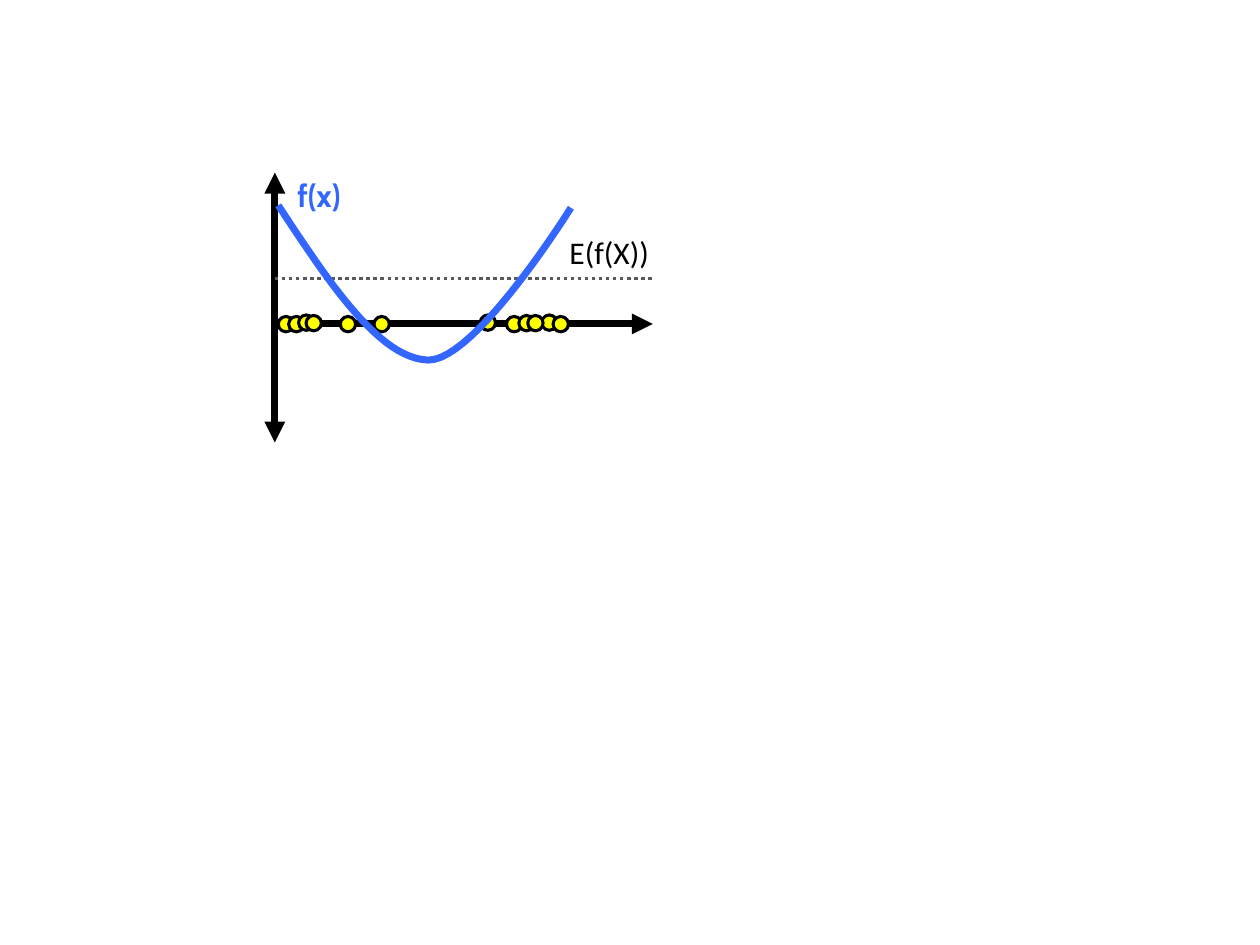
from lxml.etree import SubElement
from pptx import Presentation
from pptx.dml.color import RGBColor
from pptx.enum.dml import MSO_LINE_DASH_STYLE as Dash
from pptx.enum.shapes import MSO_CONNECTOR, MSO_SHAPE
from pptx.enum.text import MSO_AUTO_SIZE
from pptx.oxml.ns import qn
from pptx.util import Cm, Pt

# Content, lengths in cm
LEFT, RIGHT, AXIS, MEAN = 5.54, 13.16, 6.53, 5.61
BLACK, BLUE, YELLOW, GRAY = "000000", "3366FF", "FFFF00", "595959"

# start, end, colour, width, dash, arrowheads
LINES = [
    ((LEFT, AXIS), (RIGHT, AXIS), BLACK, 4, None, ["tailEnd"]),
    ((LEFT, 8.92), (LEFT, 3.48), BLACK, 4, None, ["headEnd", "tailEnd"]),
]
MEAN_LINE = ((LEFT, MEAN), (RIGHT, MEAN), GRAY, 2, Dash.ROUND_DOT, [])

SIZE = 0.31
DOTS = [(5.61, 6.38), (5.82, 6.38), (6.02, 6.35), (6.86, 6.38),
        (7.54, 6.38), (10.92, 6.35), (9.68, 6.35), (10.21, 6.38),
        (10.46, 6.36), (10.64, 6.36), (11.15, 6.38), (6.17, 6.36)]

# text, left, top, width, font, colour, bold
LABELS = [
    ("E(f(X))", 11.23, 4.57, 2.13, "Calibri", BLACK, False),
    ("f(x)", 5.74, 3.43, 1.63, "Cabin", BLUE, True),
]

# Control points of the two cubic arcs
ARCS = [
    [(5.61, 4.14), (6.63, 5.69), (7.65, 7.24), (8.64, 7.26)],
    [(8.64, 7.26), (9.6, 7.26), (11.51, 4.19), (11.51, 4.19)],
]
STEPS = 24


def color(code):
    return RGBColor.from_string(code)


def stroke(shape, code, width):
    shape.line.color.rgb = color(code)
    shape.line.width = Pt(width)


def add_line(start, end, code, width, dash, heads):
    line = shapes.add_connector(MSO_CONNECTOR.STRAIGHT, *map(Cm, start + end))
    stroke(line, code, width)
    if dash:
        line.line.dash_style = dash
    props = line._element.spPr
    for head in heads:
        SubElement(props.find(qn("a:ln")), qn("a:" + head), type="triangle")
    SubElement(props, qn("a:effectLst"))


def add_dot(left, top):
    dot = shapes.add_shape(MSO_SHAPE.OVAL, Cm(left), Cm(top), Cm(SIZE), Cm(SIZE))
    dot.shadow.inherit = False
    dot.fill.solid()
    dot.fill.fore_color.rgb = color(YELLOW)
    stroke(dot, BLACK, 1.75)


def add_label(text, left, top, width, name, code, bold):
    box = shapes.add_textbox(Cm(left), Cm(top), Cm(width), Cm(1.02))
    frame = box.text_frame
    frame.word_wrap = False
    frame.auto_size = MSO_AUTO_SIZE.SHAPE_TO_FIT_TEXT
    frame.text = text
    font = frame.paragraphs[0].font
    font.name, font.size, font.bold = name, Pt(18), bold
    font.color.rgb = color(code)


def bezier(arc, t):
    weights = ((1 - t) ** 3, 3 * t * (1 - t) ** 2, 3 * t * t * (1 - t), t ** 3)
    return tuple(Cm(sum(w * p[i] for w, p in zip(weights, arc))) for i in (0, 1))


def add_curve():
    points = [bezier(arc, n / STEPS) for arc in ARCS for n in range(1, STEPS + 1)]
    pen = shapes.build_freeform(*bezier(ARCS[0], 0))
    pen.add_line_segments(points, close=False)
    curve = pen.convert_to_shape()
    curve.shadow.inherit = False
    curve.fill.background()
    stroke(curve, BLUE, 4)


deck = Presentation()
deck.slide_width, deck.slide_height = Cm(25.4), Cm(19.05)
shapes = deck.slides.add_slide(deck.slide_layouts[6]).shapes

# Axes, samples, mean line, labels and function, back to front
for line in LINES:
    add_line(*line)
for dot in DOTS:
    add_dot(*dot)
add_line(*MEAN_LINE)
for label in LABELS:
    add_label(*label)
add_curve()

deck.save("out.pptx")
